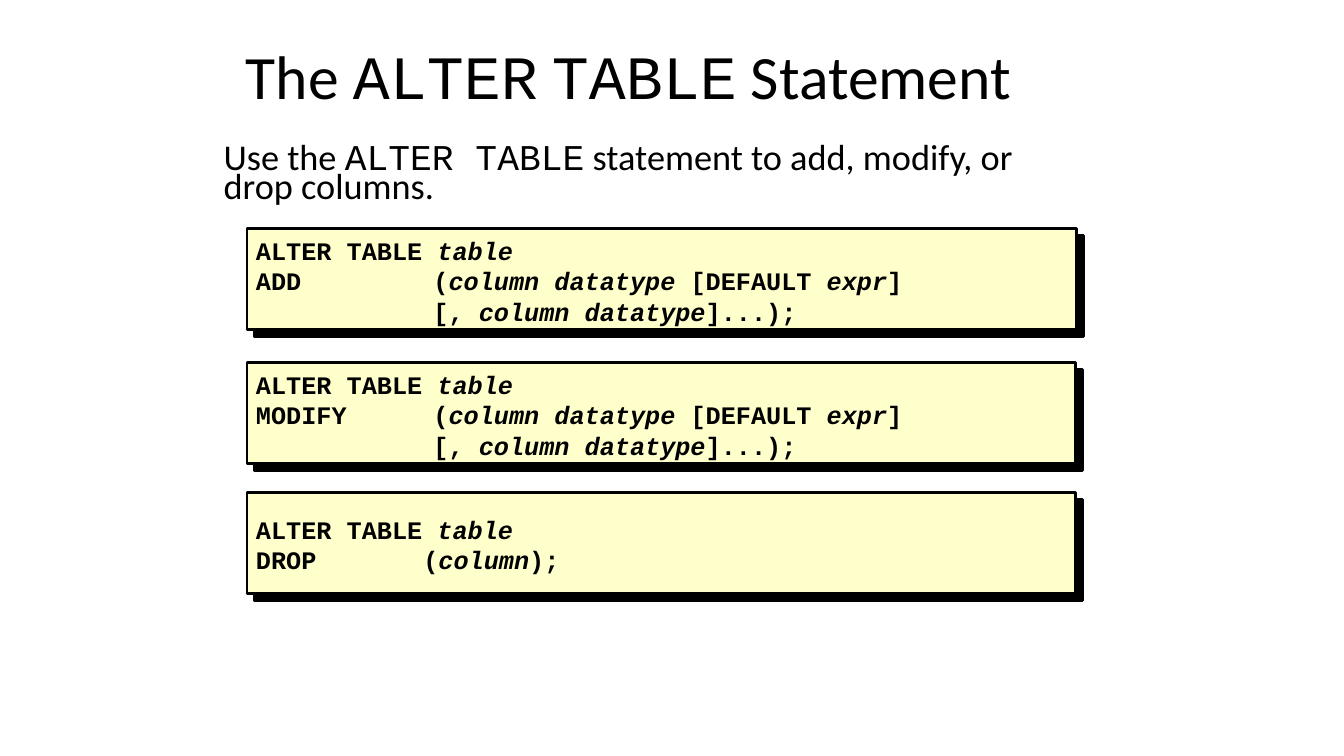
from dataclasses import dataclass

from lxml.etree import SubElement
from pptx import Presentation
from pptx.dml.color import RGBColor
from pptx.enum.shapes import MSO_SHAPE
from pptx.enum.text import MSO_ANCHOR, PP_ALIGN
from pptx.oxml.ns import qn
from pptx.util import Inches, Pt


@dataclass(frozen=True)
class Theme:
    ink: RGBColor = RGBColor(0, 0, 0)
    code_fill: RGBColor = RGBColor(0xFF, 0xFF, 0xCC)
    body_font: str = "Calibri"
    code_font: str = "Courier New"
    title_size: float = 44
    body_size: float = 25.9
    code_size: float = 18


THEME = Theme()
COLUMN_LINES = [
    [("(", False), ("column datatype ", True), ("[DEFAULT ", False),
     ("expr", True), ("]", False)],
    [("\t[, ", False), ("column datatype", True), ("]...);", False)],
]


def add_run(p, text, *, font, size, bold=False, italic=False):
    r = p.add_run()
    r.text = text
    r.font.name = font
    r.font.size = Pt(size)
    r.font.bold = bold
    r.font.italic = italic
    r.font.color.rgb = THEME.ink


def add_text_frame(s, box, anchor):
    tf = s.shapes.add_textbox(*map(Inches, box)).text_frame
    tf.word_wrap = True
    tf.vertical_anchor = anchor
    return tf


def next_paragraph(tf, index):
    p = tf.add_paragraph() if index else tf.paragraphs[0]
    p.alignment = PP_ALIGN.LEFT
    return p


def add_prose(s, box, lines, *, size, spacing, anchor, hanging=0):
    tf = add_text_frame(s, box, anchor)
    for i, line in enumerate(lines):
        p = next_paragraph(tf, i)
        p.line_spacing = spacing
        if hanging:
            pPr = p._p.get_or_add_pPr()
            pPr.set("marL", str(Inches(hanging)))
            pPr.set("indent", str(-Inches(hanging)))
        for text, is_code in line:
            font = THEME.code_font if is_code else THEME.body_font
            add_run(p, text, font=font, size=size)


def add_tab_stop(p, position):
    tabs = SubElement(p._p.get_or_add_pPr(), qn("a:tabLst"))
    SubElement(tabs, qn("a:tab"), pos=str(Inches(position)), algn="l")


def add_hard_shadow(sp):
    sp.shadow.inherit = False
    effects = sp._element.spPr.find(qn("a:effectLst"))
    shadow = SubElement(effects, qn("a:outerShdw"), dist=str(Pt(7.1)),
                        dir=str(45 * 60000), algn="ctr", rotWithShape="0")
    SubElement(shadow, qn("a:srgbClr"), val=str(THEME.ink))


def add_panel(s, top, width):
    sp = s.shapes.add_shape(MSO_SHAPE.RECTANGLE, Inches(2.45), Inches(top),
                            Inches(width), Inches(1))
    sp.fill.solid()
    sp.fill.fore_color.rgb = THEME.code_fill
    sp.line.color.rgb = THEME.ink
    sp.line.width = Pt(2)
    add_hard_shadow(sp)


def add_code(s, top, lines, tab):
    tf = add_text_frame(s, (2.44, top, 7.98, 1.03), MSO_ANCHOR.MIDDLE)
    for i, line in enumerate(lines):
        p = next_paragraph(tf, i)
        if any("\t" in text for text, _ in line):
            add_tab_stop(p, tab)
        for text, italic in line:
            add_run(p, text, font=THEME.code_font, size=THEME.code_size,
                    bold=True, italic=italic)


def main():
    prs = Presentation()
    prs.slide_width = Inches(13.33)
    prs.slide_height = Inches(7.5)
    s = prs.slides.add_slide(prs.slide_layouts[6])

    add_prose(s, (2.34, 0.25, 8.92, 1.08),
              [[("The ", False), ("ALTER", True), (" ", False),
                ("TABLE", True), (" Statement", False)]],
              size=THEME.title_size, spacing=0.9, anchor=MSO_ANCHOR.MIDDLE)
    add_prose(s, (2.12, 1.42, 9.13, 0.72),
              [[("Use the ", False), ("ALTER TABLE", True),
                (" statement to add, modify, or", False)],
               [("drop columns.", False)]],
              size=THEME.body_size, spacing=0.65, anchor=MSO_ANCHOR.TOP,
              hanging=0.25)

    clauses = [
        (2.27, 8.23, "ADD", COLUMN_LINES, 1.76),
        (3.6, 8.22, "MODIFY", COLUMN_LINES, 1.76),
        (4.89, 8.22, "DROP",
         [[("(", False), ("column", True), (");", False)]], 1.66),
    ]
    for top, width, keyword, (first, *rest), tab in clauses:
        add_panel(s, top, width)
        lines = [[("ALTER TABLE ", False), ("table", True)],
                 [(f"{keyword}\t", False), *first], *rest]
        add_code(s, top, lines, tab)

    prs.save("out.pptx")


if __name__ == "__main__":
    main()
